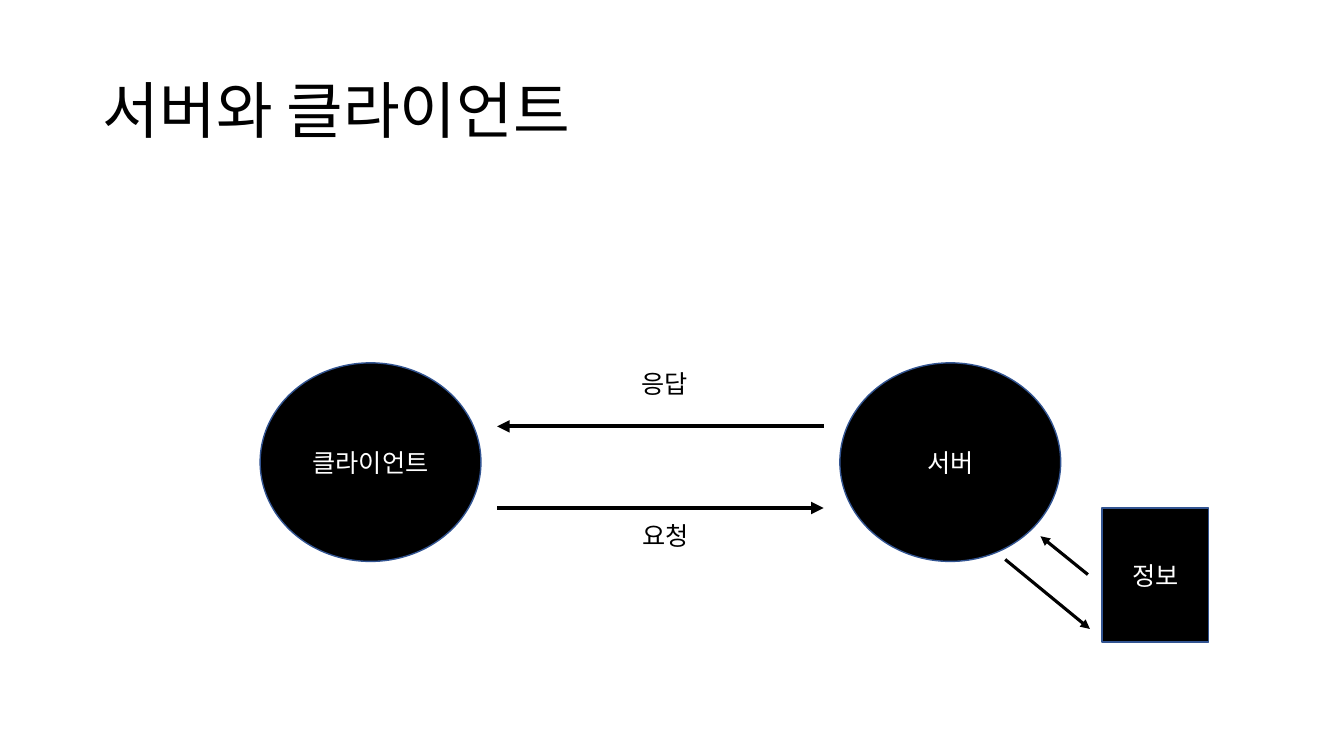
"""Build the server and client diagram slide."""
import pptx
import pptx.dml.color
import pptx.enum.shapes
import pptx.enum.text
import pptx.oxml.ns
import pptx.util
from lxml import etree

Inches = pptx.util.Inches
Pt = pptx.util.Pt
RGB = pptx.dml.color.RGBColor.from_string
qn = pptx.oxml.ns.qn
SHAPE = pptx.enum.shapes.MSO_SHAPE
ALIGN = pptx.enum.text.PP_ALIGN
ANCHOR = pptx.enum.text.MSO_ANCHOR
FONT = "Noto Sans CJK KR"
COLORS = {"black": "000000", "white": "FFFFFF", "outline": "325491"}


def write_text(sp, text, size, color, align, anchor):
    tf = sp.text_frame
    tf.word_wrap = True
    tf.vertical_anchor = anchor
    p = tf.paragraphs[0]
    p.text = text
    p.alignment = align
    p.font.size = Pt(size)
    p.font.name = FONT
    p.font.color.rgb = RGB(COLORS[color])
    ea = etree.SubElement(p._p.pPr.find(qn("a:defRPr")), qn("a:ea"))
    ea.set("typeface", FONT)
    return p


prs = pptx.Presentation()
prs.slide_width = Inches(13.33)
prs.slide_height = Inches(7.5)
s = prs.slides.add_slide(prs.slide_layouts[6])

title = s.shapes.add_textbox(Inches(0.92), Inches(0.4), Inches(11.5), Inches(1.45))
p = write_text(title, "서버와 클라이언트", 44, "black", ALIGN.LEFT, ANCHOR.MIDDLE)
p.line_spacing = 0.9

nodes = [
    ("클라이언트", SHAPE.OVAL, 2.58, 3.6, 2.19, 1.97),
    ("서버", SHAPE.OVAL, 8.33, 3.6, 2.19, 1.97),
    ("정보", SHAPE.RECTANGLE, 10.93, 5.04, 1.06, 1.33),
]
for text, kind, x, y, w, h in nodes:
    sp = s.shapes.add_shape(kind, Inches(x), Inches(y), Inches(w), Inches(h))
    sp.shadow.inherit = False
    sp.fill.solid()
    sp.fill.fore_color.rgb = RGB(COLORS["black"])
    sp.line.color.rgb = RGB(COLORS["outline"])
    sp.line.width = Pt(1)
    write_text(sp, text, 18, "white", ALIGN.CENTER, ANCHOR.MIDDLE)

for text, x, y in [("요청", 6.27, 5.11), ("응답", 6.26, 3.61)]:
    label = s.shapes.add_textbox(Inches(x), Inches(y), Inches(0.96), Inches(0.4))
    write_text(label, text, 18, "black", ALIGN.LEFT, ANCHOR.TOP)
    label.text_frame.auto_size = pptx.enum.text.MSO_AUTO_SIZE.SHAPE_TO_FIT_TEXT

arrows = [
    (4.93, 5.04, 8.17, 5.04, 3),
    (8.17, 4.23, 4.93, 4.23, 3),
    (9.97, 5.55, 10.81, 6.24, 2.25),
    (10.79, 5.7, 10.32, 5.32, 2.25),
]
for x1, y1, x2, y2, width in arrows:
    arrow = s.shapes.add_connector(
        pptx.enum.shapes.MSO_CONNECTOR.STRAIGHT,
        Inches(x1), Inches(y1), Inches(x2), Inches(y2))
    arrow.line.color.rgb = RGB(COLORS["black"])
    arrow.line.width = Pt(width)
    etree.SubElement(arrow.line._get_or_add_ln(), qn("a:tailEnd")).set("type", "triangle")
    etree.SubElement(arrow._element.spPr, qn("a:effectLst"))

prs.save("out.pptx")
